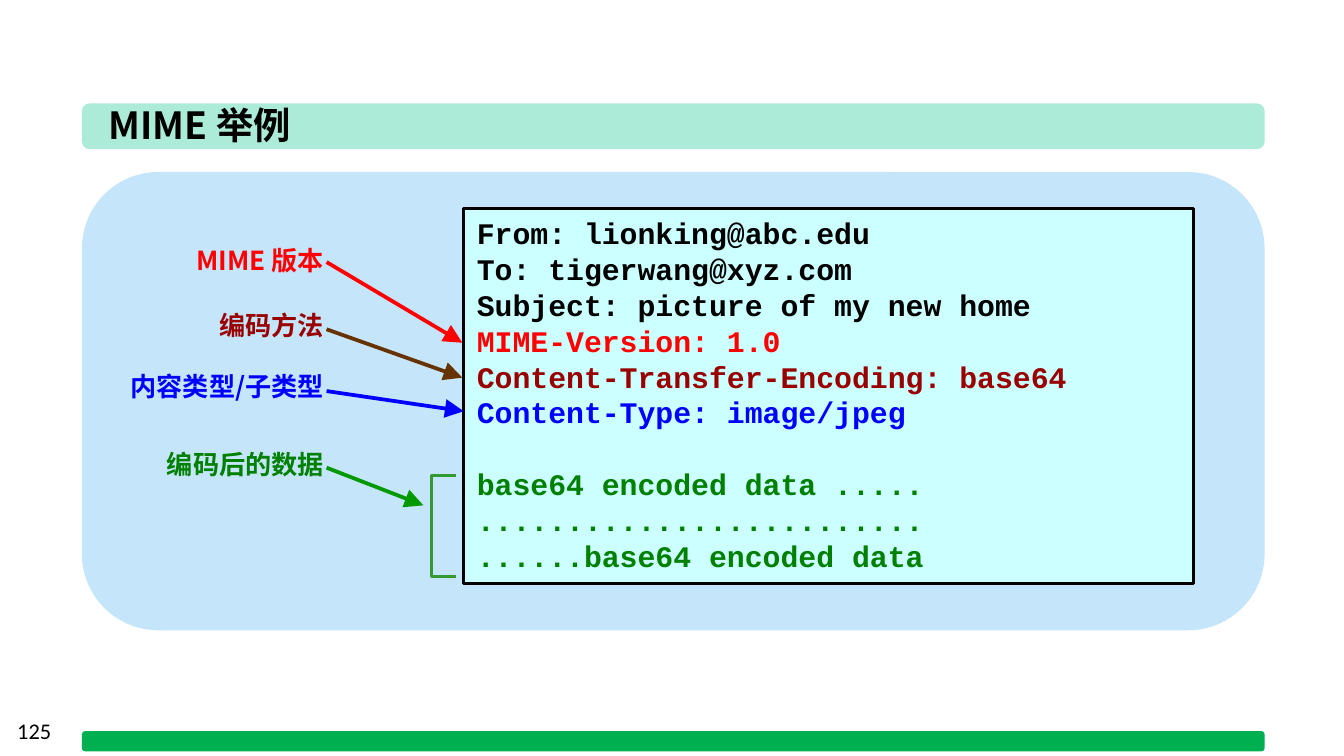
from pptx import Presentation
from pptx import util as u
from pptx.dml.color import RGBColor
from pptx.enum import shapes, text
from pptx.oxml import ns, xmlchemy

BLACK = RGBColor(0x00, 0x00, 0x00)
RED = RGBColor(0xFF, 0x00, 0x00)
MAROON = RGBColor(0x99, 0x00, 0x00)
BROWN = RGBColor(0x66, 0x33, 0x00)
BLUE = RGBColor(0x00, 0x00, 0xFF)
DARK_GREEN = RGBColor(0x00, 0x80, 0x00)
ARROW_GREEN = RGBColor(0x00, 0x99, 0x00)
BRACKET_GREEN = RGBColor(0x33, 0x99, 0x33)
FOOTER_GREEN = RGBColor(0x00, 0xB0, 0x50)
MINT = RGBColor(0xAB, 0xEB, 0xD7)
SKY = RGBColor(0xC5, 0xE5, 0xFB)
CYAN = RGBColor(0xCC, 0xFF, 0xFF)

HEADING_FONT = "Noto Sans CJK SC"
CODE_FONT = "Courier New"
NUMBER_FONT = "Calibri"

BAND_LEFT, BAND_WIDTH = 0.61, 8.8
LABEL_RIGHT, LABEL_HEIGHT = 2.51, 0.34
ARROW_LEFT = 2.43
CODE_PITCH = u.Pt(19.2)

MAIL_LINES = [
    ("From: lionking@abc.edu", BLACK),
    ("To: tigerwang@xyz.com", BLACK),
    ("Subject: picture of my new home", BLACK),
    ("MIME-Version: 1.0", RED),
    ("Content-Transfer-Encoding: base64", MAROON),
    ("Content-Type: image/jpeg", BLUE),
    ("base64 encoded data .....", DARK_GREEN),
    (".........................", DARK_GREEN),
    ("......base64 encoded data", DARK_GREEN),
]
BODY_START = 6

# wording, text colour, top, width, arrow colour, arrow start y, arrow tip
LABELS = [
    ("MIME 版本", RED, 1.77, 1.24, RED, 1.95, (3.44, 2.55)),
    ("编码方法", MAROON, 2.25, 0.99, BROWN, 2.45, (3.44, 2.81)),
    ("内容类型/子类型", BLUE, 2.71, 1.67, BLUE, 2.91, (3.45, 3.06)),
    ("编码后的数据", DARK_GREEN, 3.29, 1.38, ARROW_GREEN, 3.48, (3.15, 3.76)),
]


class SlideBuilder:
    def __init__(self, page):
        self.page = page

    def shape(self, kind, left, top, width, height, fill=None, line=None, corner=None):
        item = self.page.shapes.add_shape(
            kind, *map(u.Inches, (left, top, width, height)))
        item.shadow.inherit = False
        if corner is not None:
            item.adjustments[0] = corner
        if fill is None:
            item.fill.background()
        else:
            item.fill.solid()
            item.fill.fore_color.rgb = fill
        if line is None:
            item.line.fill.background()
        else:
            item.line.color.rgb = line
            item.line.width = u.Pt(1.5)
        return item

    def band(self, top, height, fill, corner=0.167):
        self.shape(shapes.MSO_SHAPE.ROUNDED_RECTANGLE, BAND_LEFT, top,
                   BAND_WIDTH, height, fill, corner=corner)

    def style(self, para, font, size, color, bold=True):
        """Set one look, for Latin and East Asian letters alike."""
        para.font.name = font
        para.font.size = u.Pt(size)
        para.font.bold = bold
        para.font.color.rgb = color
        east_asian = xmlchemy.OxmlElement("a:ea")
        east_asian.set("typeface", font)
        para._p.pPr.find(ns.qn("a:defRPr")).append(east_asian)

    def text(self, wording, left, top, width, height, font, size, color,
             bold=True, align=text.PP_ALIGN.LEFT):
        box = self.page.shapes.add_textbox(
            *map(u.Inches, (left, top, width, height)))
        box.text_frame.word_wrap = True
        para = box.text_frame.paragraphs[0]
        para.text = wording
        para.alignment = align
        self.style(para, font, size, color, bold)

    def mail(self, left, top, width, height):
        box = self.shape(shapes.MSO_SHAPE.RECTANGLE, left, top, width, height,
                         CYAN, BLACK)
        frame = box.text_frame
        frame.word_wrap = True
        frame.vertical_anchor = text.MSO_ANCHOR.TOP
        for index, (wording, color) in enumerate(MAIL_LINES):
            para = frame.add_paragraph() if index else frame.paragraphs[0]
            para.text = wording
            para.alignment = text.PP_ALIGN.LEFT
            para.line_spacing = CODE_PITCH
            if index == BODY_START:
                para.space_before = CODE_PITCH
            self.style(para, CODE_FONT, 16, color)

    def arrow(self, start, tip, color):
        line = self.page.shapes.add_connector(
            shapes.MSO_CONNECTOR.STRAIGHT, *map(u.Inches, (*start, *tip)))
        line.line.color.rgb = color
        line.line.width = u.Pt(2)
        head = xmlchemy.OxmlElement("a:tailEnd")
        for name, value in (("type", "triangle"), ("w", "lg"), ("len", "lg")):
            head.set(name, value)
        line.line._get_or_add_ln().append(head)
        line._element.spPr.append(xmlchemy.OxmlElement("a:effectLst"))


def main():
    deck = Presentation()
    deck.slide_width = u.Inches(10)
    deck.slide_height = deck.slide_width * 9 // 16
    builder = SlideBuilder(deck.slides.add_slide(deck.slide_layouts[6]))

    builder.band(1.28, 3.41, SKY, corner=None)
    builder.band(0.77, 0.34, MINT)
    builder.text("MIME 举例", 0.71, 0.71, 5.55, 0.44, HEADING_FONT, 20, BLACK)
    builder.mail(3.45, 1.55, 5.43, 2.79)

    for wording, color, top, width, arrow_color, start_y, tip in LABELS:
        builder.text(wording, LABEL_RIGHT - width, top, width, LABEL_HEIGHT,
                     HEADING_FONT, 14, color, align=text.PP_ALIGN.RIGHT)
        builder.arrow((ARROW_LEFT, start_y), tip, arrow_color)

    builder.shape(shapes.MSO_SHAPE.LEFT_BRACKET, 3.21, 3.54, 0.18, 0.75,
                  line=BRACKET_GREEN, corner=0)
    builder.text("125", 0.03, 5.29, 2.33, 0.3, NUMBER_FONT, 12, BLACK, bold=False)
    builder.band(5.44, 0.15, FOOTER_GREEN)

    deck.save("out.pptx")


if __name__ == "__main__":
    main()
